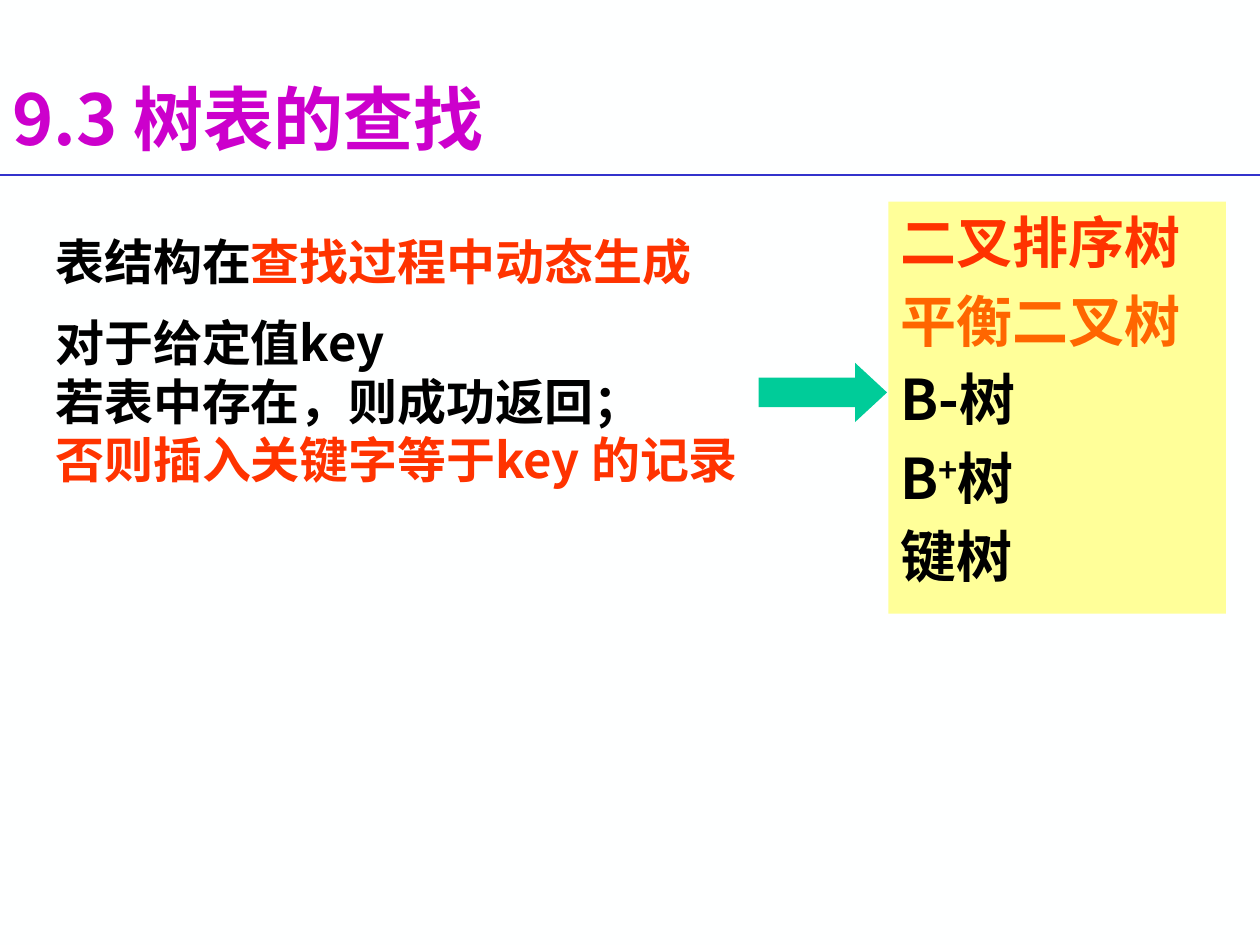
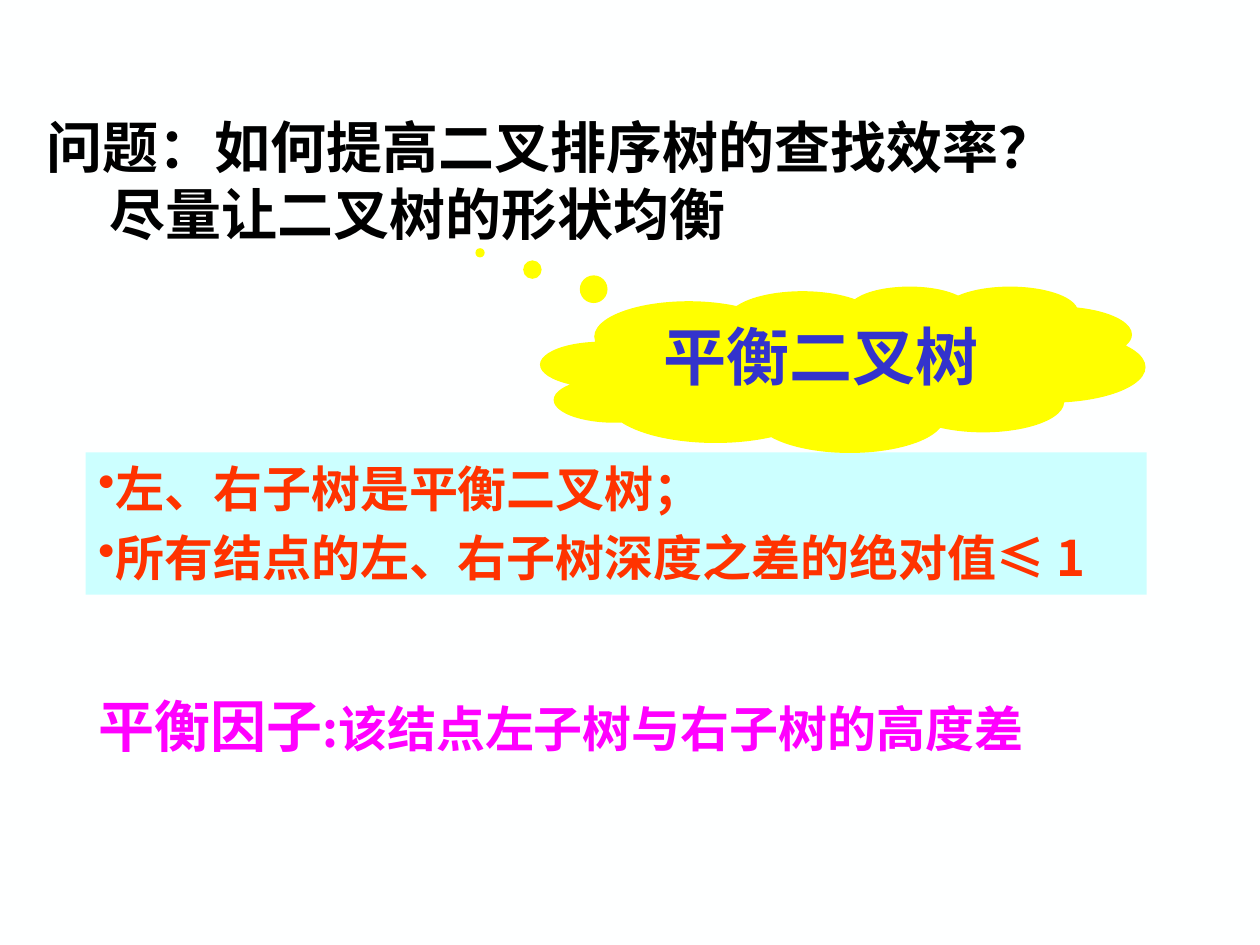
from pptx import Presentation
from pptx.dml.color import RGBColor
from pptx.enum.shapes import MSO_CONNECTOR, MSO_SHAPE
from pptx.enum.text import MSO_ANCHOR, PP_ALIGN
from pptx.oxml.ns import qn
from pptx.util import Inches, Pt

HEX = {
    "page": "FEFFFF", "black": "000000", "red": "FF3300", "orange": "FF6600",
    "purple": "CC00CC", "pink": "FF00FF", "blue": "3333CC", "green": "00CC99",
    "cream": "FFFF99", "aqua": "CCFFFF", "yellow": "FFFF00",
}
SANS, SERIF = "Noto Sans CJK SC", "Times New Roman"

# A paragraph is a list of runs: (text, colour, size[, baseline])
TITLE = [[("9.3 树表的查找", "purple", 40)]]
TABLE = [[("表结构在", "black", 28), ("查找过程中动态生成", "red", 28)]]
STEPS = [
    [("对于给定值key", "black", 28)],
    [("若表中存在，则成功返回；", "black", 28)],
    [("否则插入关键字等于key 的记录", "red", 28)],
]
TREES = [
    [("二叉排序树", "red", 32)],
    [("平衡二叉树", "orange", 32)],
    [("B-树", "black", 32)],
    [("B", "black", 32), ("+", "black", 32, 30), ("树", "black", 32)],
    [("键树", "black", 32)],
]
ASK = [
    [("问题：如何提高二叉排序树的查找效率？", "black", 32)],
    [("\t尽量让二叉树的形状均衡", "black", 32)],
]
RULES = [
    [("左、右子树是平衡二叉树；", "red", 28)],
    [("所有结点的左、右子树深度之差的绝对值≤ 1", "red", 28)],
]
IDEA = [[("平衡二叉树", "blue", 36)]]
FACTOR = [[("平衡因子", "pink", 32), (":该结点左子树与右子树的高度差", "pink", 28)]]


def color(name):
    return RGBColor.from_string(HEX[name])


def style(run, tint, size, base=0, face=SANS):
    run.font.name = face
    run.font.size = Pt(size)
    run.font.bold = True
    run.font.color.rgb = color(tint)
    props = run._r.get_or_add_rPr()
    asian = props.makeelement(qn("a:ea"), {"typeface": SANS})
    props.find(qn("a:latin")).addnext(asian)
    if base:
        props.set("baseline", str(base * 1000))


def write(shape, lines, gap=0.0, dots=False, face=SANS,
          align=PP_ALIGN.LEFT, anchor=MSO_ANCHOR.TOP):
    """Fill a shape with paragraphs; gap is the space between them in ems."""
    frame = shape.text_frame
    frame.word_wrap = True
    frame.vertical_anchor = anchor
    for i, runs in enumerate(lines):
        para = frame.add_paragraph() if i else frame.paragraphs[0]
        para.alignment = align
        if i and gap:
            para.space_before = Pt(gap * runs[0][2])
        if dots:
            props = para._p.get_or_add_pPr()
            props.append(props.makeelement(qn("a:buChar"), {"char": "•"}))
        for text, *look in runs:
            run = para.add_run()
            run.text = text
            style(run, *look, face=face)


def place(box):
    return [Inches(n) for n in box]


def note(slide, box, lines, **opts):
    write(slide.shapes.add_textbox(*place(box)), lines, **opts)


def block(slide, kind, box, fill, adjust=()):
    shape = slide.shapes.add_shape(kind, *place(box))
    shape.shadow.inherit = False
    shape.fill.solid()
    shape.fill.fore_color.rgb = color(fill)
    shape.line.fill.background()
    for i, value in enumerate(adjust):
        shape.adjustments[i] = value
    return shape


def rule(slide, top):
    line = slide.shapes.add_connector(
        MSO_CONNECTOR.STRAIGHT, *place((0, top, 10, top)))
    line.line.color.rgb = color("blue")
    line.line.width = Pt(1)
    props = line._element.spPr
    props.append(props.makeelement(qn("a:effectLst"), {}))


def page(deck):
    slide = deck.slides.add_slide(deck.slide_layouts[6])
    slide.background.fill.solid()
    slide.background.fill.fore_color.rgb = color("page")
    return slide


def search(deck):
    slide = page(deck)
    note(slide, (0, 0.56, 6.73, 0.75), TITLE, anchor=MSO_ANCHOR.MIDDLE)
    rule(slide, 1.39)
    note(slide, (0.34, 1.79, 5.69, 0.57), TABLE)
    note(slide, (0.34, 2.43, 5.69, 1.5), STEPS)
    panel = block(slide, MSO_SHAPE.RECTANGLE, (7.05, 1.6, 2.68, 3.27), "cream")
    write(panel, TREES, gap=0.2)
    block(slide, MSO_SHAPE.RIGHT_ARROW, (6.02, 2.88, 1.02, 0.47), "green",
          (0.5, 0.54))


def balance(deck):
    slide = page(deck)
    note(slide, (0.27, 0.84, 8.82, 1.17), ASK)
    panel = block(slide, MSO_SHAPE.RECTANGLE, (0.68, 3.59, 8.42, 1.13), "aqua")
    write(panel, RULES, gap=0.2, dots=True)
    cloud = block(slide, MSO_SHAPE.CLOUD_CALLOUT, (4.29, 2.27, 4.8, 1.32),
                  "yellow", (-0.6, -0.7))
    write(cloud, IDEA, face=SERIF, align=PP_ALIGN.CENTER)
    note(slide, (0.68, 5.44, 7.65, 0.63), FACTOR)


def main():
    deck = Presentation()
    deck.slide_width, deck.slide_height = Inches(10), Inches(7.5)
    search(deck)
    balance(deck)
    deck.save("out.pptx")


if __name__ == "__main__":
    main()
